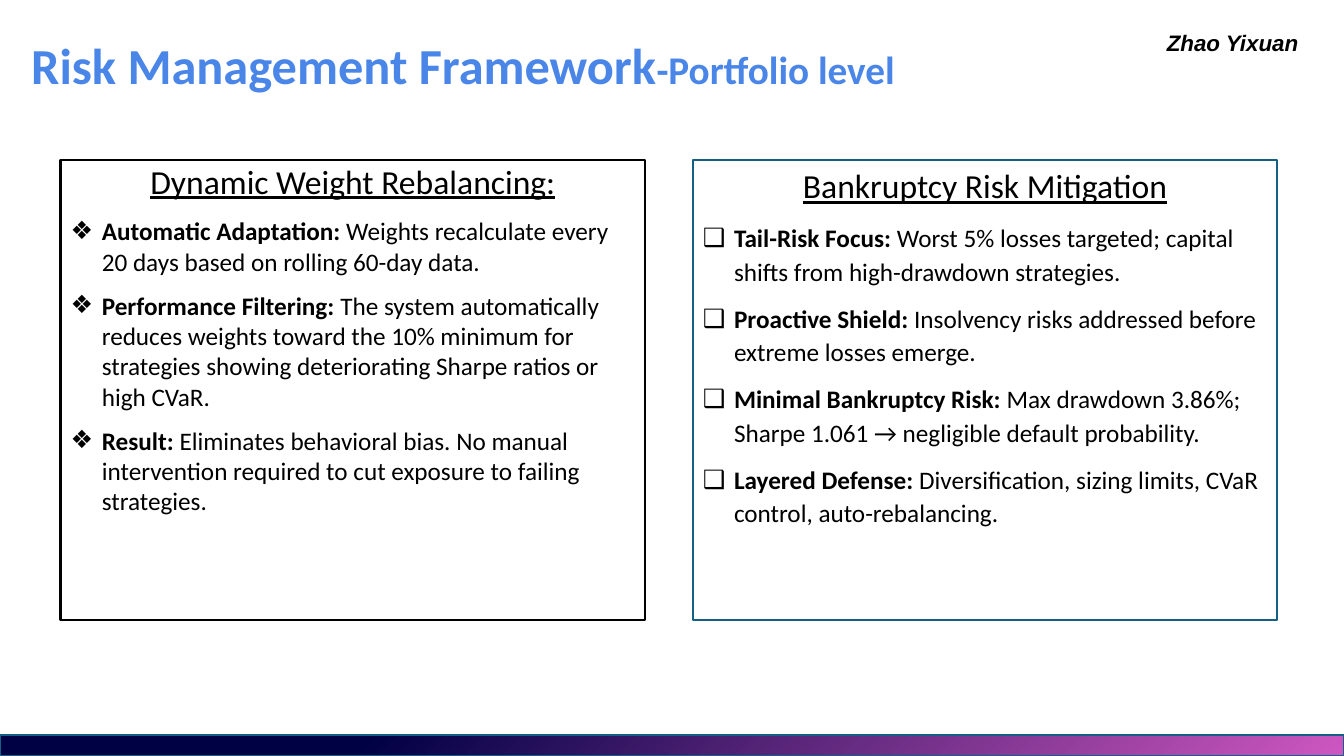
from dataclasses import dataclass

from lxml.etree import SubElement
from pptx import Presentation
from pptx.dml.color import RGBColor
from pptx.enum.shapes import MSO_SHAPE
from pptx.enum.text import MSO_ANCHOR, MSO_AUTO_SIZE, PP_ALIGN
from pptx.oxml.ns import qn
from pptx.shapes.placeholder import SlidePlaceholder
from pptx.slide import Slide
from pptx.text.text import TextFrame
from pptx.util import Inches, Pt

BLACK = RGBColor(0x00, 0x00, 0x00)
WHITE = RGBColor(0xFF, 0xFF, 0xFF)
TEAL = RGBColor(0x15, 0x60, 0x82)
BLUE = RGBColor(0x4A, 0x86, 0xE8)
NAVY = RGBColor(0x00, 0x00, 0x44)
PINK = RGBColor(0xCE, 0x57, 0xC1)

SLIDE_WIDTH, SLIDE_HEIGHT = 13.33, 7.5
PANEL_TOP, PANEL_WIDTH, PANEL_HEIGHT = 1.59, 5.8, 4.56
BULLET_INDENT = 0.31


@dataclass(frozen=True)
class Point:
    lead: str
    detail: str


@dataclass(frozen=True)
class Panel:
    left: float
    outline: RGBColor
    heading: str
    heading_spacing: float
    bullet: str
    point_spacing: float
    points: tuple[Point, ...]


PANELS = (
    Panel(0.6, BLACK, "Dynamic Weight Rebalancing:", 0.9, "❖", 1.0, (
        Point("Automatic Adaptation: ",
              "Weights recalculate every 20 days based on rolling 60-day data."),
        Point("Performance Filtering: ",
              "The system automatically reduces weights toward the 10% minimum for "
              "strategies showing deteriorating Sharpe ratios or high CVaR."),
        Point("Result: ",
              "Eliminates behavioral bias. No manual intervention required to cut "
              "exposure to failing strategies."),
    )),
    Panel(6.87, TEAL, "Bankruptcy Risk Mitigation", 1.0, "❑", 1.1, (
        Point("Tail-Risk Focus:",
              " Worst 5% losses targeted; capital shifts from high-drawdown strategies."),
        Point("Proactive Shield:",
              " Insolvency risks addressed before extreme losses emerge."),
        Point("Minimal Bankruptcy Risk:",
              " Max drawdown 3.86%; Sharpe 1.061 → negligible default probability."),
        Point("Layered Defense:",
              " Diversification, sizing limits, CVaR control, auto-rebalancing."),
    )),
)


def place(shape: SlidePlaceholder, left: float, top: float,
          width: float, height: float) -> TextFrame:
    shape.left, shape.top = Inches(left), Inches(top)
    shape.width, shape.height = Inches(width), Inches(height)
    frame = shape.text_frame
    frame.word_wrap = True
    frame.auto_size = MSO_AUTO_SIZE.NONE
    frame.vertical_anchor = MSO_ANCHOR.TOP
    return frame


def add_title(slide: Slide) -> None:
    frame = place(slide.shapes.title, 0.31, 0.28, 10.72, 0.67)
    frame.margin_left = frame.margin_right = 0
    frame.margin_top = frame.margin_bottom = 0
    title = frame.paragraphs[0]
    title.alignment = PP_ALIGN.LEFT
    title.line_spacing = 1.1
    title.font.name = "Calibri"
    title.font.bold = True
    title.font.color.rgb = BLUE
    for words, size in (("Risk Management Framework", 36), ("-Portfolio level", 28)):
        run = title.add_run()
        run.text = words
        run.font.size = Pt(size)


def add_point(frame: TextFrame, point: Point, panel: Panel) -> None:
    paragraph = frame.add_paragraph()
    properties = paragraph._p.get_or_add_pPr()
    properties.set("marL", str(Inches(BULLET_INDENT)))
    properties.set("indent", str(-Inches(BULLET_INDENT)))
    bullet_color = SubElement(properties, qn("a:buClr"))
    SubElement(bullet_color, qn("a:srgbClr"), val=str(BLACK))
    SubElement(properties, qn("a:buChar"), char=panel.bullet)
    paragraph.alignment = PP_ALIGN.LEFT
    paragraph.line_spacing = panel.point_spacing
    paragraph.space_before = Pt(10)
    paragraph.font.name = "Calibri"
    paragraph.font.size = Pt(18)
    paragraph.font.color.rgb = BLACK
    for words, bold in ((point.lead, True), (point.detail, False)):
        run = paragraph.add_run()
        run.text = words
        run.font.bold = bold


def fill_panel(body: SlidePlaceholder, panel: Panel) -> None:
    frame = place(body, panel.left, PANEL_TOP, PANEL_WIDTH, PANEL_HEIGHT)
    body.fill.solid()
    body.fill.fore_color.rgb = WHITE
    body.line.color.rgb = panel.outline
    body.line.width = Pt(1.5)
    heading = frame.paragraphs[0]
    properties = heading._p.get_or_add_pPr()
    properties.set("marL", "0")
    properties.set("indent", "0")
    SubElement(properties, qn("a:buNone"))
    heading.text = panel.heading
    heading.alignment = PP_ALIGN.CENTER
    heading.line_spacing = panel.heading_spacing
    heading.space_before = Pt(0)
    heading.font.name = "Calibri"
    heading.font.size = Pt(24)
    heading.font.underline = True
    heading.font.color.rgb = BLACK
    for point in panel.points:
        add_point(frame, point, panel)


def add_presenter(slide: Slide) -> None:
    box = slide.shapes.add_textbox(Inches(11.43), Inches(0.24), Inches(1.59), Inches(0.37))
    box.text_frame.word_wrap = True
    presenter = box.text_frame.paragraphs[0]
    presenter.text = "Zhao Yixuan"
    presenter.alignment = PP_ALIGN.CENTER
    presenter.font.name = "Arial"
    presenter.font.size = Pt(16)
    presenter.font.bold = True
    presenter.font.italic = True
    presenter.font.color.rgb = BLACK


def add_footer_band(slide: Slide) -> None:
    height = 0.21
    band = slide.shapes.add_shape(
        MSO_SHAPE.RECTANGLE, 0, Inches(SLIDE_HEIGHT - height),
        Inches(SLIDE_WIDTH), Inches(height))
    band.rotation = 180
    band.shadow.inherit = False
    band.fill.gradient()
    band.fill.gradient_angle = 135
    for stop, color, position in zip(band.fill.gradient_stops, (NAVY, PINK), (0.27, 1.0)):
        stop.color.rgb = color
        stop.position = position
    band.line.color.rgb = TEAL
    band.line.width = Pt(1)


def main() -> None:
    deck = Presentation()
    deck.slide_width, deck.slide_height = Inches(SLIDE_WIDTH), Inches(SLIDE_HEIGHT)
    slide = deck.slides.add_slide(deck.slide_layouts.get_by_name("Two Content"))
    add_footer_band(slide)
    for index, panel in enumerate(PANELS, start=1):
        fill_panel(slide.placeholders[index], panel)
    add_title(slide)
    add_presenter(slide)
    deck.save("out.pptx")


if __name__ == "__main__":
    main()
